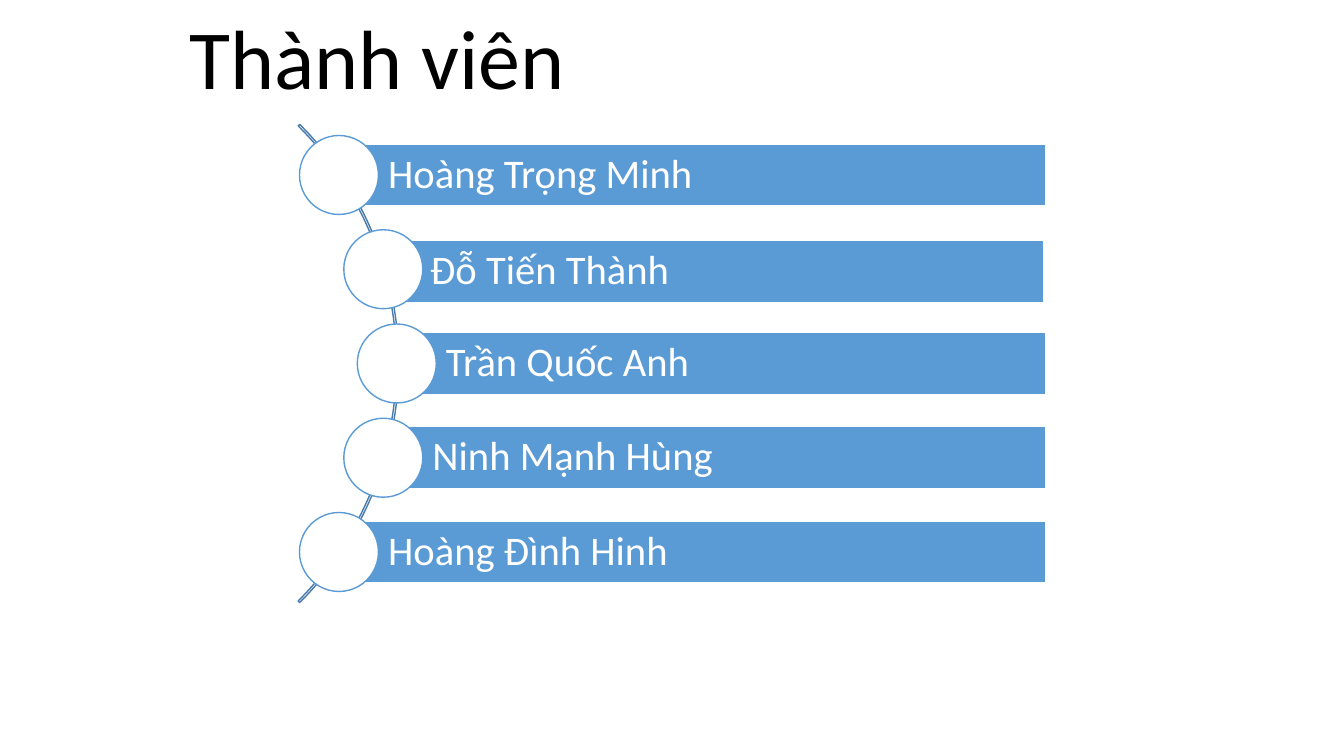
from math import sqrt

from pptx import Presentation
from pptx.dml.color import RGBColor
from pptx.enum.shapes import MSO_SHAPE as Kind
from pptx.enum.text import MSO_ANCHOR as Anchor, PP_ALIGN as Align
from pptx.util import Cm, Pt

BLACK = RGBColor(0x00, 0x00, 0x00)
WHITE = RGBColor(0xFF, 0xFF, 0xFF)
BLUE = RGBColor(0x5B, 0x9B, 0xD5)
STEEL = RGBColor(0x49, 0x7C, 0xAB)
FONT = "Calibri"

NAMES = [
    "Hoàng Trọng Minh",
    "Đỗ Tiến Thành",
    "Trần Quốc Anh",
    "Ninh Mạnh Hùng",
    "Hoàng Đình Hinh",
]
NUDGE = {1: (-0.06, 0.05)}
STEP = 2.375
BAR = 1.57
DOT = 1.99


def add_form(slide, kind, box, fill, line):
    form = slide.shapes.add_shape(kind, *map(Cm, box))
    form.shadow.inherit = False
    if fill is None:
        form.fill.background()
    else:
        form.fill.solid()
        form.fill.fore_color.rgb = fill
    form.line.color.rgb = line
    form.line.width = Pt(1)
    return form


def set_text(form, text, size, color, align, anchor):
    frame = form.text_frame
    frame.word_wrap = True
    frame.vertical_anchor = anchor
    para = frame.paragraphs[0]
    para.text = text
    para.alignment = align
    para.line_spacing = 0.9
    para.font.name = FONT
    para.font.size = Pt(size)
    para.font.color.rgb = color
    return frame


def add_title(slide, box, text):
    title = slide.shapes.add_textbox(*map(Cm, box))
    set_text(title, text, 60, BLACK, Align.CENTER, Anchor.BOTTOM)


def add_bar(slide, box, name):
    bar = add_form(slide, Kind.RECTANGLE, box, BLUE, WHITE)
    frame = set_text(bar, name, 29, WHITE, Align.LEFT, Anchor.MIDDLE)
    frame.margin_left = Cm(1.24)
    frame.margin_right = frame.margin_top = frame.margin_bottom = Cm(0.2)


def add_list(slide, box, names):
    left, top, width, height = box
    arc = add_form(slide, Kind.BLOCK_ARC, (left, top, height, height), None, STEEL)
    for i, value in enumerate((189, 27, 0.0032)):
        arc.adjustments[i] = value

    mid_x, mid_y = left + height / 2, top + height / 2
    radius = height / 2 - 0.05
    for i, name in enumerate(names):
        drop = (i - (len(names) - 1) / 2) * STEP
        x = mid_x + sqrt(radius ** 2 - drop ** 2)
        y = mid_y + drop
        dx, dy = NUDGE.get(i, (0, 0))
        add_bar(slide, (x + dx, y - BAR / 2 + dy, left + width - x, BAR), name)
        dot = (x - DOT / 2, y - DOT / 2, DOT, DOT)
        add_form(slide, Kind.OVAL, dot, WHITE, BLUE)


def main():
    deck = Presentation()
    deck.slide_width = Cm(33.87)
    deck.slide_height = Cm(19.05)
    slide = deck.slides.add_slide(deck.slide_layouts[6])
    add_title(slide, (-3.2, 0, 25.4, 2.84), "Thành viên")
    add_list(slide, (-6.99, 0.64, 33.35, 17.04), NAMES)
    deck.save("out.pptx")


if __name__ == "__main__":
    main()
